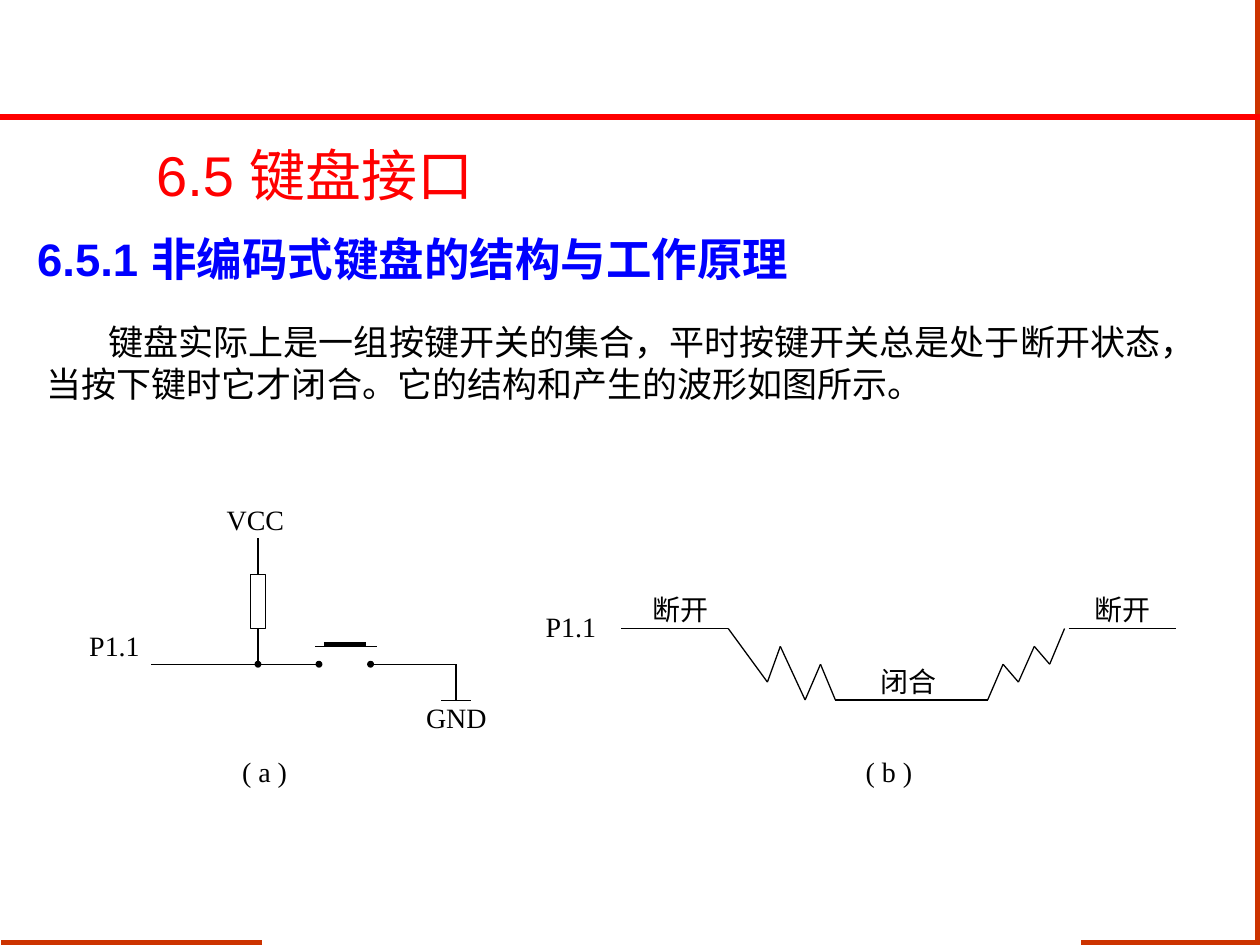
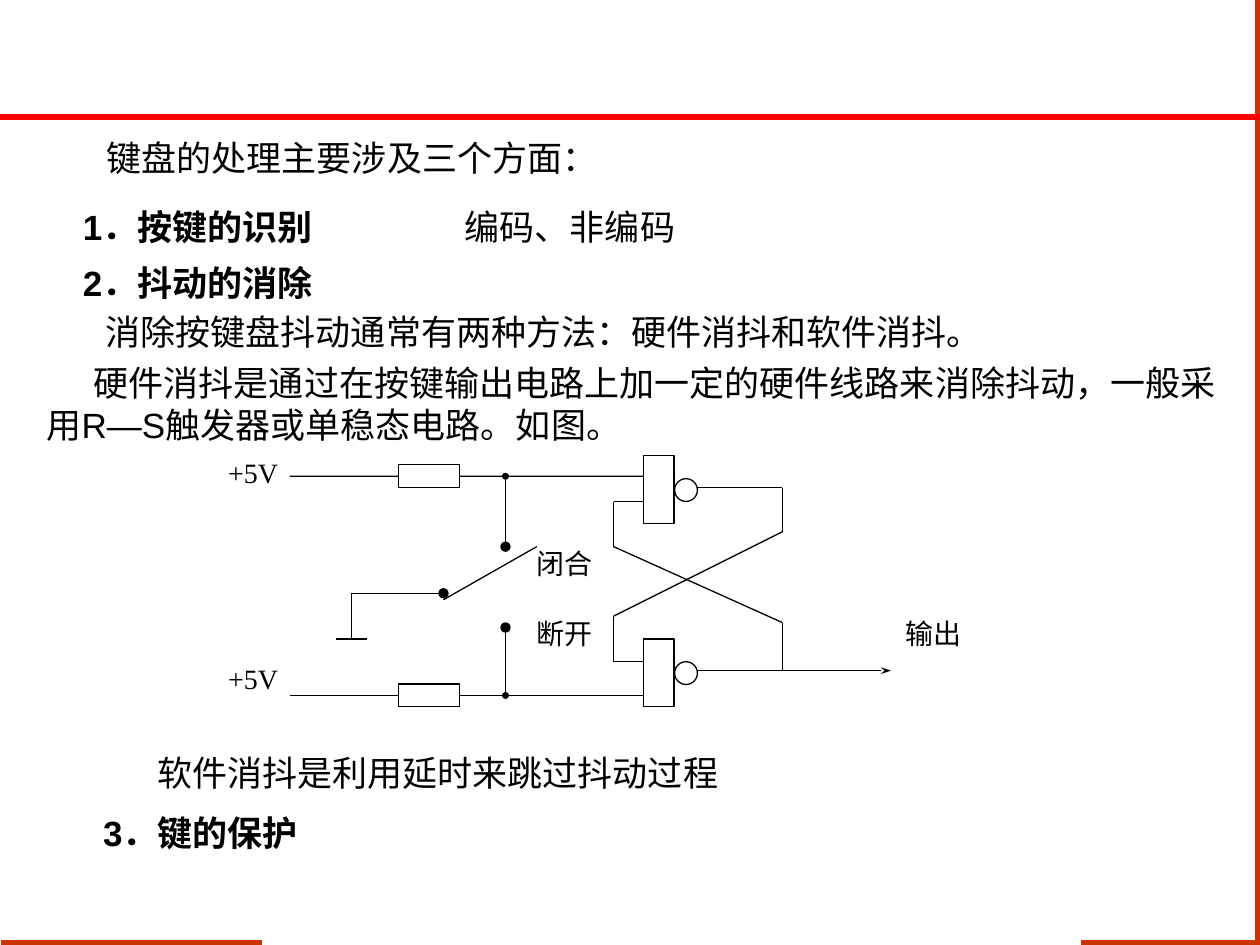
from itertools import pairwise

from pptx import Presentation
from pptx.dml.color import RGBColor
from pptx.enum.shapes import MSO_CONNECTOR as Link, MSO_SHAPE as Form
from pptx.enum.text import MSO_ANCHOR as Anchor, PP_ALIGN as Align
from pptx.oxml.ns import qn
from pptx.util import Cm, Pt
from lxml.etree import SubElement

BLACK = RGBColor(0, 0, 0)
WHITE = RGBColor(255, 255, 255)
RED = RGBColor(255, 0, 0)
BLUE = RGBColor(0, 0, 255)
RUST = RGBColor(0xCC, 0x33, 0)

# ---- Content: all places in cm ----
FRAME = [  # start, end, colour
    ((5.28, 19), (0.03, 19), RUST),
    ((25.35, 19.05), (25.35, 0), RUST),
    ((25.3, 19), (21.79, 19), RUST),
    ((25.4, 2.36), (0, 2.36), RED),
]

TITLE = "6.5 键盘接口"
HEAD = "6.5.1 非编码式键盘的结构与工作原理"
INTRO = ("键盘实际上是一组按键开关的集合，平时按键开关总是处于断开状态，"
         "当按下键时它才闭合。它的结构和产生的波形如图所示。")
KEY_TAGS = [  # text, left, top
    ("P1.1", 1.8, 12.67), ("VCC", 4.57, 10.13), ("GND", 8.59, 14.12),
    ("断开", 13.16, 11.94), ("闭合", 17.75, 13.39), ("断开", 22.07, 11.94),
    ("P1.1", 11, 12.29), ("( a )", 4.88, 15.21), ("( b )", 17.45, 15.21),
]
WAVE = [  # x, steps below the open level
    (12.52, 0), (14.68, 0), (15.47, 3), (15.73, 1), (16.23, 4), (16.54, 2),
    (16.84, 4), (19.91, 4), (20.22, 2), (20.53, 3), (20.85, 1), (21.16, 2),
    (21.46, 0),
]
OPEN, STEP = 12.67, 0.36

POINTS = [  # text, left, top, width, bold
    ("键盘的处理主要涉及三个方面：", 1.9, 2.62, 10.57, False),
    ("1．按键的识别", 1.42, 4.01, 5.31, True),
    ("编码、非编码", 9.12, 4.01, 4.9, False),
    ("2．抖动的消除", 1.42, 5.13, 5.31, True),
    ("消除按键盘抖动通常有两种方法：硬件消抖和软件消抖。", 1.88, 6.12, 18.19, False),
    ("软件消抖是利用延时来跳过抖动过程", 2.92, 15.01, 11.96, False),
    ("3．键的保护", 1.83, 16.23, 4.6, True),
]
HARD = ("硬件消抖是通过在按键输出电路上加一定的硬件线路来消除抖动，"
        "一般采用R—S触发器或单稳态电路。如图。")
LATCH_TAGS = [
    ("+5V", 4.6, 9.19), ("+5V", 4.6, 13.34), ("闭合", 10.82, 11.02),
    ("断开", 10.82, 12.42), ("输出", 18.26, 12.42),
]
RAILS = (9.6, 14.02)
GATES = (9.19, 12.88)


# ---- Helpers ----
def write(page, text, x, y, w, h, size=20, color=BLACK, font="Arial", bold=False,
          inset=(0.25, 0.13), anchor=Anchor.MIDDLE, align=Align.LEFT,
          wrap=True, indent=0):
    frame = page.shapes.add_textbox(Cm(x), Cm(y), Cm(w), Cm(h)).text_frame
    frame.word_wrap = wrap
    frame.vertical_anchor = anchor
    frame.margin_left = frame.margin_right = Cm(inset[0])
    frame.margin_top = frame.margin_bottom = Cm(inset[1])
    para = frame.paragraphs[0]
    para.alignment = align
    if indent:
        para._p.get_or_add_pPr().set("indent", str(Cm(indent)))
    run = para.add_run()
    run.text = text
    run.font.name, run.font.size, run.font.bold = font, Pt(size), bold
    run.font.color.rgb = color


def label(page, tags, h):
    for text, x, y in tags:
        write(page, text, x, y, 1.25, h, size=16, font="Times New Roman",
              inset=(0, 0), anchor=Anchor.TOP, align=Align.JUSTIFY)


def wire(page, start, end, color=BLACK, width=0.75, head=None, tail=None):
    """head and tail are (type, width, length) of the end marks."""
    line = page.shapes.add_connector(Link.STRAIGHT, *map(Cm, start + end))
    line.line.color.rgb = color
    line.line.width = Pt(width)
    props = line._element.spPr
    for tag, mark in (("a:headEnd", head), ("a:tailEnd", tail)):
        if mark:
            SubElement(props.find(qn("a:ln")), qn(tag),
                       dict(zip(("type", "w", "len"), mark)))
    SubElement(props, qn("a:effectLst"))
    return line


def chain(page, *dots):
    for start, end in pairwise(dots):
        wire(page, start, end)


def part(page, x, y, w, h, form=Form.RECTANGLE):
    shape = page.shapes.add_shape(form, Cm(x), Cm(y), Cm(w), Cm(h))
    shape.shadow.inherit = False
    shape.fill.solid()
    shape.fill.fore_color.rgb = WHITE
    shape.line.color.rgb = BLACK
    shape.line.width = Pt(0.75)
    return shape


DOT = ("oval", "sm", "sm")
KNOB = ("oval", "med", "med")
ARROW = ("stealth", "sm", "med")


def new_page(deck):
    page = deck.slides.add_slide(deck.slide_layouts[6])
    for start, end, color in FRAME:
        wire(page, start, end, color, 3)
    return page


# ---- Slide 1: key circuit and its waveform ----
def key_page(deck):
    page = new_page(deck)
    write(page, TITLE, 2.9, 3.12, 16.41, 0.79, size=32, color=RED)
    write(page, HEAD, 0.5, 4.52, 24.41, 14.02, size=26, color=BLUE, bold=True,
          anchor=Anchor.TOP)
    write(page, INTRO, 0.69, 6.32, 24, 1.96, indent=1.25)

    # Pull-up resistor
    mid, base, ground = 5.2, 13.39, 14.12
    load = part(page, mid - 0.15, 11.58, 0.3, 1.09)
    wire(page, (mid, 10.85), (mid, 11.58)).end_connect(load, 0)
    wire(page, (mid, 12.67), (mid, base), tail=DOT).begin_connect(load, 2)

    # Switch and ground
    wire(page, (3.05, base), (6.43, base), tail=DOT)
    wire(page, (7.47, base), (9.19, base), head=DOT)
    wire(page, (6.35, 13.03), (7.59, 13.03))
    wire(page, (6.53, 12.98), (7.37, 12.98), width=2.25)
    wire(page, (9.19, base), (9.19, ground))
    wire(page, (8.89, ground), (9.5, ground))

    # Waveform
    chain(page, *((x, OPEN + n * STEP) for x, n in WAVE))
    wire(page, (21.54, OPEN), (23.7, OPEN))
    label(page, KEY_TAGS, 0.74)


# ---- Slide 2: debouncing with an R-S latch ----
def latch_page(deck):
    page = new_page(deck)
    for text, x, y, w, bold in POINTS:
        write(page, text, x, y, w, 1.11, bold=bold, wrap=False)
    write(page, HARD, 0.69, 7.16, 24.2, 1.96, indent=0.95)

    # Supply rails with resistors
    gate_x = 12.98
    for y in RAILS:
        load = part(page, 8.03, y - 0.23, 1.24, 0.46)
        wire(page, (5.84, y), (8.03, y)).end_connect(load, 1)
        wire(page, (9.27, y), (gate_x, y)).begin_connect(load, 3)

    # Gates with inverting outputs
    for y in GATES:
        part(page, gate_x, y, 0.61, 1.37)
        part(page, gate_x + 0.62, y + 0.46, 0.46, 0.46, Form.FLOWCHART_CONNECTOR)

    # Cross feedback and output
    left, right, out_x = 12.37, 15.77, 14.06
    top, low = (y + 0.64 for y in GATES)
    chain(page, (gate_x, 10.11), (left, 10.11), (left, 11.02),
          (right, 12.55), (right, low))
    chain(page, (out_x, top), (right, top), (right, 10.72),
          (left, 12.42), (left, 13.34), (gate_x, 13.34))
    wire(page, (out_x, low), (17.96, low), tail=ARROW)

    # Two-way switch and ground
    wire(page, (10.19, RAILS[0]), (10.19, 11.02), head=DOT, tail=KNOB)
    wire(page, (10.19, 12.65), (10.19, RAILS[1]), head=KNOB, tail=DOT)
    wire(page, (8.94, 11.96), (7.09, 11.96), head=KNOB)
    wire(page, (7.09, 11.96), (7.09, 12.88))
    wire(page, (7.39, 12.88), (6.78, 12.88))
    wire(page, (8.94, 12.09), (10.82, 11.02))
    label(page, LATCH_TAGS, 0.91)


def main():
    deck = Presentation()
    deck.slide_width, deck.slide_height = Cm(25.4), Cm(19.05)
    key_page(deck)
    latch_page(deck)
    deck.save("out.pptx")


if __name__ == "__main__":
    main()
